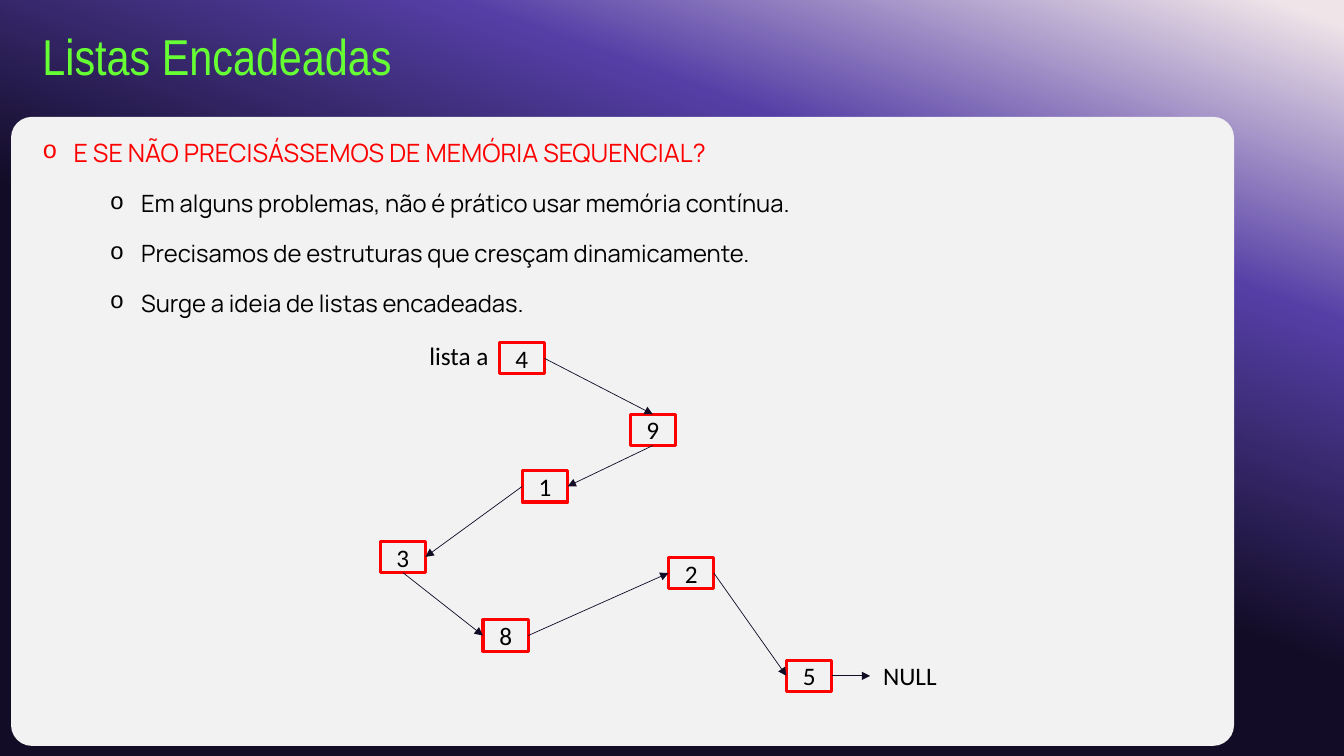
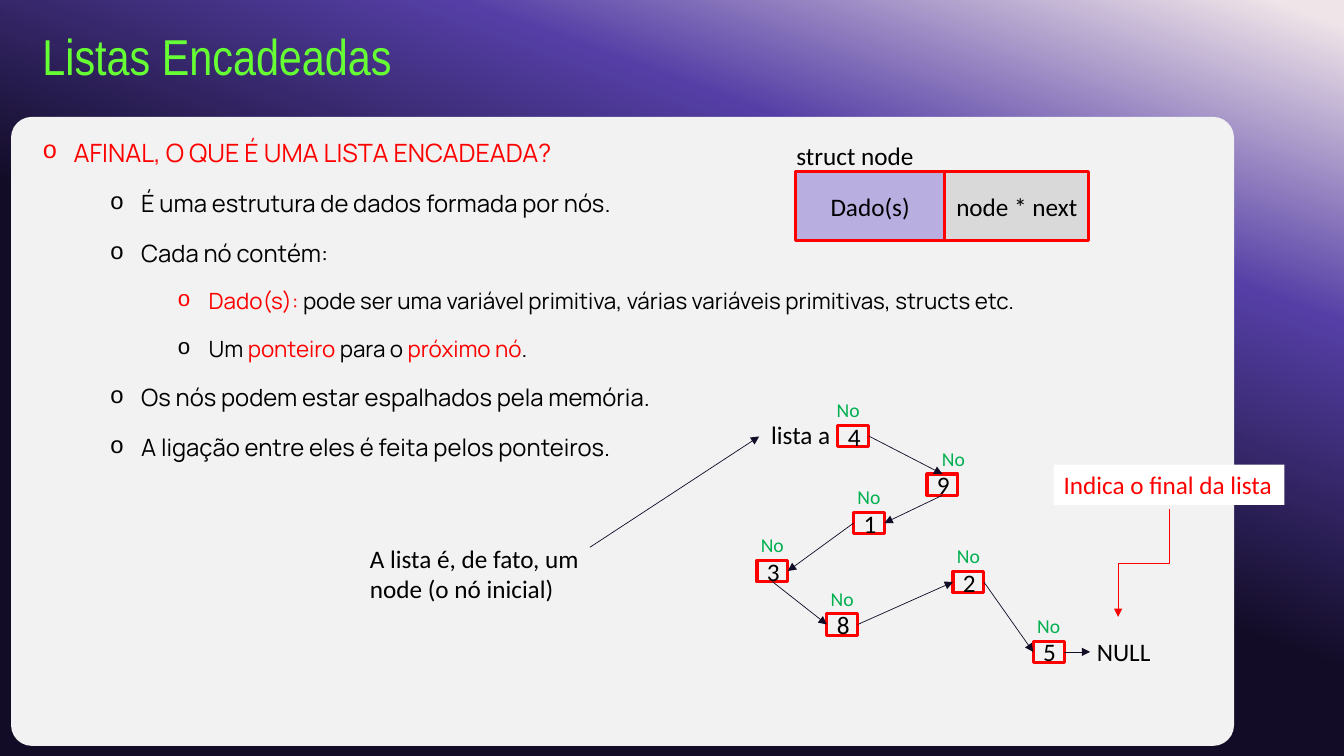
from dataclasses import dataclass

from lxml import etree
from pptx import Presentation
from pptx.dml.color import RGBColor
from pptx.enum import shapes, text
from pptx.oxml import ns
from pptx.util import Inches, Pt


@dataclass(frozen=True)
class Theme:
    title: str = "66FF33"
    accent: str = "FF0000"
    ink: str = "000000"
    arrow: str = "120C26"
    tag: str = "00B050"
    panel: str = "F2F2F2"
    white: str = "FFFFFF"
    data: str = "B8AEE0"
    pointer: str = "D9D9D9"
    backdrop: tuple = ((2, "EFE4E8"), (26, "553FA6"), (54, "120C26"), (96, "120C26"))
    title_font: str = "Arial Narrow"
    body_font: str = "Manrope"
    label_font: str = "Calibri"
    title_size: int = 36
    body_sizes: tuple = (18, 17, 16)
    label_size: int = 18
    tag_size: int = 14


THEME = Theme()
MIDDLE = text.MSO_ANCHOR.MIDDLE
CENTER = text.PP_ALIGN.CENTER
TOP, LEFT, BOTTOM, RIGHT = range(4)

TITLE_FRAME = {"left": 0.32, "top": 0.11, "width": 12.68, "height": 0.95}
BODY_FRAME = {"left": 0.32, "top": 1.16, "width": 11.91, "height": 6}
INDENTS = (0.31, 0.98, 1.65)

NODES = [
    ("4", 0, 0, -0.11),
    ("9", 1.3, 0.71, 0.05),
    ("1", 0.23, 1.27, -0.06),
    ("3", -1.18, 1.97, -0.06),
    ("8", -0.16, 2.75, -0.06),
    ("2", 1.68, 2.13, -0.06),
    ("5", 2.85, 3.15, -0.06),
]
LINKS = [(RIGHT, TOP), (BOTTOM, RIGHT), (LEFT, RIGHT), (BOTTOM, LEFT), (RIGHT, LEFT), (RIGHT, LEFT)]

PAGES = [
    {
        "lines": [
            (0, "|E SE NÃO PRECISÁSSEMOS DE MEMÓRIA SEQUENCIAL?"),
            (1, "Em alguns problemas, não é prático usar memória contínua."),
            (1, "Precisamos de estruturas que cresçam dinamicamente."),
            (1, "Surge a ideia de listas encadeadas."),
        ],
        "origin": (4.95, 3.4),
        "scale": 1,
        "labels": [("lista a", (4.16, 3.33, 0.79, 0.4)), ("NULL", (8.66, 6.5, 0.74, 0.4))],
    },
    {
        "lines": [
            (0, "|AFINAL, O QUE É UMA LISTA ENCADEADA?"),
            (1, "É uma estrutura de dados formada por nós."),
            (1, "Cada nó contém:"),
            (2, "|Dado(s): |pode ser uma variável primitiva, várias variáveis primitivas, structs etc."),
            (2, "Um |ponteiro| para o |próximo nó|."),
            (1, "Os nós podem estar espalhados pela memória."),
            (1, "A ligação entre eles é feita pelos ponteiros."),
        ],
        "origin": (8.31, 4.22),
        "scale": 0.68,
        "labels": [
            ("lista a", (7.55, 4.11, 0.79, 0.4)),
            ("NULL", (10.78, 6.26, 0.74, 0.4)),
            ("struct node", (7.8, 1.34, 1.38, 0.4)),
        ],
    },
]


def add_box(page, words, frame, fill=None, line=None, color=THEME.ink, size=THEME.label_size, wrap=False):
    if line:
        box = page.shapes.add_shape(shapes.MSO_SHAPE.RECTANGLE, *map(Inches, frame))
        box.shadow.inherit = False
        box.line.color.rgb = RGBColor.from_string(line)
        box.line.width = Pt(2.25)
    else:
        box = page.shapes.add_textbox(*map(Inches, frame))
        box.text_frame.auto_size = text.MSO_AUTO_SIZE.SHAPE_TO_FIT_TEXT
    if fill:
        box.fill.solid()
        box.fill.fore_color.rgb = RGBColor.from_string(fill)
    else:
        box.fill.background()
    box.text_frame.word_wrap = wrap
    para = box.text_frame.paragraphs[0]
    if line:
        box.text_frame.vertical_anchor = MIDDLE
        para.alignment = CENTER
    span = para.add_run()
    span.text = words
    for name, value in {"name": THEME.label_font, "size": Pt(size)}.items():
        setattr(span.font, name, value)
    span.font.color.rgb = RGBColor.from_string(color)
    return box


def add_arrow(page, start, end, color=THEME.arrow, kind=shapes.MSO_CONNECTOR.STRAIGHT):
    arrow = page.shapes.add_connector(kind, *map(Inches, (*start, *end)))
    arrow.line.color.rgb = RGBColor.from_string(color)
    arrow.line.width = Pt(0.5)
    properties = arrow.element.spPr
    etree.SubElement(properties.find(ns.qn("a:ln")), ns.qn("a:tailEnd"), type="triangle")
    etree.SubElement(properties, ns.qn("a:effectLst"))
    return arrow


deck = Presentation()
deck.slide_width, deck.slide_height = Inches(13.33), Inches(7.5)
layout = deck.slide_layouts[1]

backdrop = layout.background.fill
backdrop.gradient()
backdrop.gradient_angle = 250
stops = layout.element.find(".//" + ns.qn("a:gsLst"))
for stop in list(stops):
    stops.remove(stop)
for position, color in THEME.backdrop:
    stop = etree.SubElement(stops, ns.qn("a:gs"), pos=str(position * 1000))
    etree.SubElement(stop, ns.qn("a:srgbClr"), val=color)

for holder, frame in zip(layout.placeholders, (TITLE_FRAME, BODY_FRAME)):
    for name, value in frame.items():
        setattr(holder, name, Inches(value))

pages = [deck.slides.add_slide(layout) for _ in PAGES]

panel = pages[0].shapes.add_shape(
    shapes.MSO_SHAPE.ROUNDED_RECTANGLE, *map(Inches, (0.11, 1.16, 12.13, 6.24))
)
panel.adjustments[0] = 0.033
panel.shadow.inherit = False
panel.fill.solid()
panel.fill.fore_color.rgb = RGBColor.from_string(THEME.panel)
panel.line.fill.background()
layout.shapes.element.insert(2, panel.element)

for page, content in zip(pages, PAGES):
    title = page.shapes.title.text_frame
    title.text = "Listas Encadeadas"
    title.vertical_anchor = MIDDLE
    title.auto_size = text.MSO_AUTO_SIZE.NONE
    para = title.paragraphs[0]
    for name, value in {"alignment": text.PP_ALIGN.LEFT, "line_spacing": 0.9}.items():
        setattr(para, name, value)
    span = para.runs[0]
    for name, value in {"name": THEME.title_font, "size": Pt(THEME.title_size)}.items():
        setattr(span.font, name, value)
    span.font.color.rgb = RGBColor.from_string(THEME.title)

    body = page.placeholders[1].text_frame
    body.auto_size = text.MSO_AUTO_SIZE.NONE
    for index, (level, words) in enumerate(content["lines"]):
        para = body.add_paragraph() if index else body.paragraphs[0]
        spacing = {"level": level, "line_spacing": 1.5, "space_before": Pt(5 if index else 0)}
        for name, value in spacing.items():
            setattr(para, name, value)
        settings = para._p.get_or_add_pPr()
        settings.set("marL", str(Inches(INDENTS[level])))
        settings.set("indent", str(-Inches(INDENTS[0])))
        etree.SubElement(settings, ns.qn("a:buFont"), typeface="Courier New")
        etree.SubElement(settings, ns.qn("a:buChar"), char="o")
        for part, piece in enumerate(words.split("|")):
            if not piece:
                continue
            span = para.add_run()
            span.text = piece
            for name, value in {"name": THEME.body_font, "size": Pt(THEME.body_sizes[level])}.items():
                setattr(span.font, name, value)
            span.font.color.rgb = RGBColor.from_string(THEME.accent if part % 2 else THEME.ink)

    (left, top), scale = content["origin"], content["scale"]
    width, height = 0.45 * scale, 0.31 * scale
    nodes = []
    for value, x, y, shift in NODES:
        x, y = left + x * scale, top + y * scale
        nodes.append(add_box(page, value, (x, y, width, height), line=THEME.accent, wrap=True))
        if scale < 1:
            add_box(page, "No", (x + shift, y - 0.32, 0.43, 0.34), color=THEME.tag, size=THEME.tag_size)
    for source, target, (leave, enter) in zip(nodes, nodes[1:], LINKS):
        arrow = add_arrow(page, (0, 0), (1, 1))
        arrow.begin_connect(source, leave)
        arrow.end_connect(target, enter)
    end_x, end_y = x + width, y + height / 2
    add_arrow(page, (end_x, end_y), (end_x + 0.38 * scale, end_y)).begin_connect(nodes[-1], RIGHT)
    for words, frame in content["labels"]:
        add_box(page, words, frame)

page = pages[1]
add_box(page, "Dado(s)", (7.89, 1.7, 1.48, 0.69), fill=THEME.data, line=THEME.accent)
add_box(page, "node * next", (9.37, 1.7, 1.43, 0.69), fill=THEME.pointer, line=THEME.accent)
add_box(page, "A lista é, de fato, um node (o nó inicial)", (3.57, 5.34, 2.48, 0.71), wrap=True)
add_arrow(page, (5.85, 5.43), (7.53, 4.33))
add_box(page, "Indica o final da lista", (10.45, 4.61, 2.29, 0.4), fill=THEME.white, color=THEME.accent)
elbow = add_arrow(page, (10.81, 5.33), (11.88, 5.84), THEME.accent, shapes.MSO_CONNECTOR.ELBOW)
elbow.element.spPr.find(ns.qn("a:xfrm")).set("rot", "5400000")

deck.save("out.pptx")
